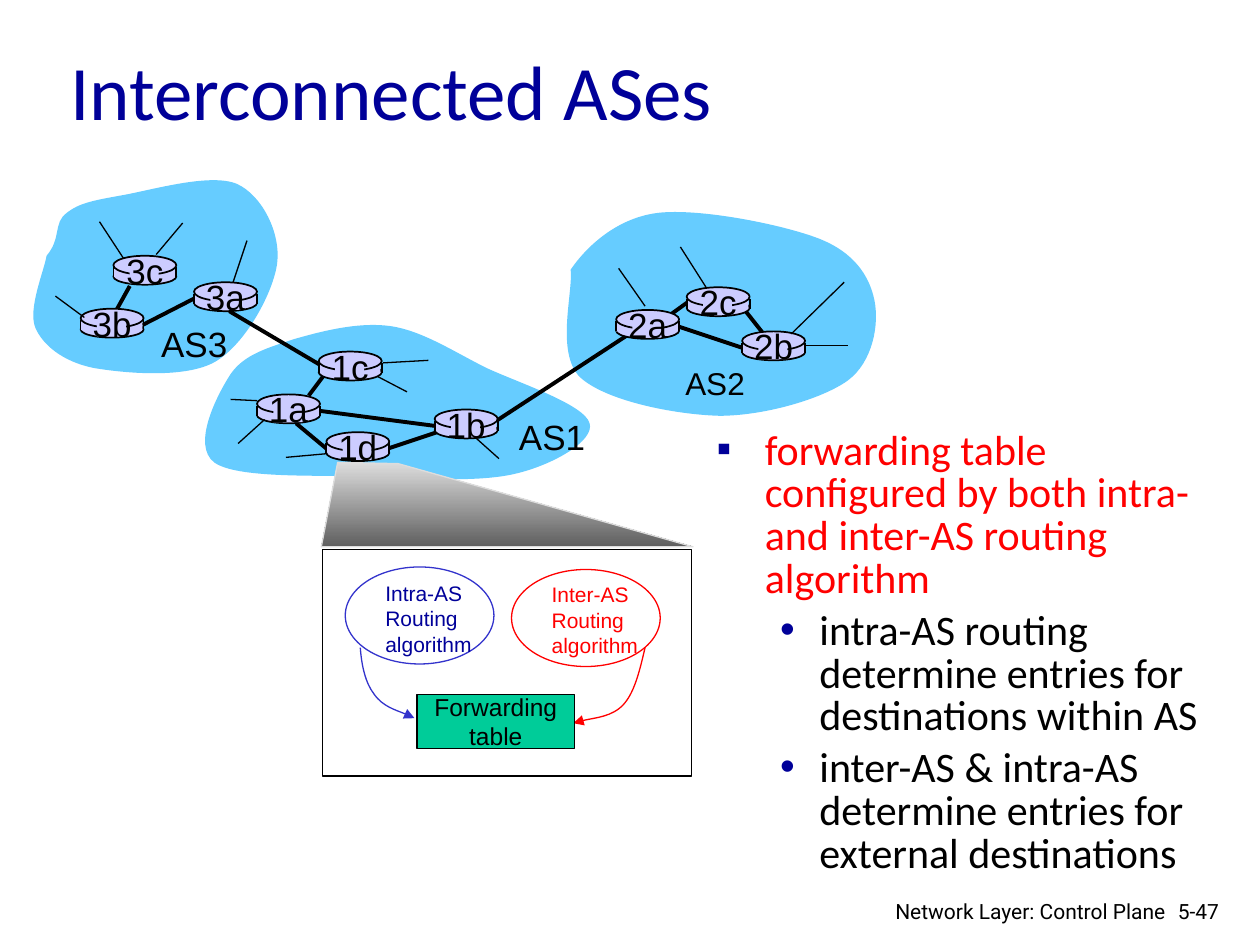
"""Build a slide on interconnected autonomous systems and the forwarding table."""
from lxml.etree import SubElement
from pptx import Presentation
from pptx.dml.color import RGBColor as RGB
from pptx.enum.shapes import MSO_CONNECTOR as LINK, MSO_SHAPE as KIND
from pptx.enum.text import MSO_ANCHOR as ANCHOR, PP_ALIGN as ALIGN
from pptx.oxml.ns import qn
from pptx.util import Cm, Pt

INCH = 2.54
BLACK = RGB(0x00, 0x00, 0x00)
SKY = RGB(0x66, 0xCC, 0xFF)
LILAC = RGB(0xCC, 0xCC, 0xFF)
NAVY = RGB(0x00, 0x00, 0x99)
BLUE = RGB(0x33, 0x33, 0xCC)
RED = RGB(0xFF, 0x00, 0x00)
GREEN = RGB(0x00, 0xCC, 0x99)
PALE = RGB(0xDD, 0xDD, 0xDD)
GREY = RGB(0x5F, 0x5F, 0x5F)
OVAL, RECT = KIND.OVAL, KIND.RECTANGLE
LEFT, MID, RIGHT = ALIGN.LEFT, ALIGN.CENTER, ALIGN.RIGHT

deck = Presentation()
deck.slide_width, deck.slide_height = Cm(25.4), Cm(19.05)
slide = deck.slides.add_slide(deck.slide_layouts[6])
shapes = slide.shapes


def paint(shape, fill, edge, wide=0.75):
    shape.shadow.inherit = False
    if fill is None:
        shape.fill.background()
    else:
        shape.fill.solid()
        shape.fill.fore_color.rgb = fill
    if edge is None:
        shape.line.fill.background()
    else:
        shape.line.color.rgb = edge
        shape.line.width = Pt(wide)
    return shape


def rule(ends, wide):
    line = shapes.add_connector(LINK.STRAIGHT, *[Cm(INCH * v) for v in ends])
    line.line.color.rgb = BLACK
    line.line.width = Pt(wide)
    SubElement(line._element.spPr, qn("a:effectLst"))
    return line


curves = [
    (SKY, None, [(4.53, 2.14), (4.66, 1.95), (4.9, 1.73), (5.22, 1.69),
                 (5.55, 1.65), (6.2, 1.78), (6.49, 1.89), (6.78, 2), (6.9, 2.19), (6.94, 2.38),
                 (6.98, 2.57), (6.93, 2.87), (6.73, 3.02), (6.52, 3.17), (6.06, 3.3), (5.71, 3.3),
                 (5.35, 3.29), (4.8, 3.18), (4.6, 2.99), (4.41, 2.79), (4.55, 2.32), (4.53, 2.14)]),
    (SKY, None, [(0.37, 2.03), (0.49, 1.89), (0.42, 1.77), (0.53, 1.69),
                 (0.63, 1.61), (0.75, 1.59), (0.97, 1.55), (1.2, 1.51), (1.67, 1.37), (1.88, 1.46),
                 (2.08, 1.55), (2.23, 1.85), (2.2, 2.09), (2.17, 2.32), (1.95, 2.73), (1.71, 2.87),
                 (1.47, 3.01), (0.97, 2.96), (0.74, 2.92), (0.5, 2.87), (0.34, 2.74), (0.28, 2.6),
                 (0.22, 2.45), (0.35, 2.15), (0.37, 2.03)]),
    (SKY, None, [(1.83, 2.97), (1.94, 2.81), (2.13, 2.76), (2.34, 2.69),
                 (2.55, 2.63), (2.85, 2.55), (3.11, 2.59), (3.36, 2.63), (3.6, 2.79), (3.86, 2.92),
                 (4.12, 3.04), (4.64, 3.21), (4.68, 3.36), (4.72, 3.5), (4.39, 3.69), (4.09, 3.76),
                 (3.8, 3.83), (3.31, 3.8), (2.91, 3.78), (2.52, 3.77), (1.88, 3.8), (1.7, 3.67),
                 (1.52, 3.53), (1.72, 3.14), (1.83, 2.97)]),
    (None, BLUE, [(2.86, 5.14), (2.87, 5.28), (2.9, 5.42), (2.97, 5.51),
                  (3.04, 5.61), (3.24, 5.67), (3.29, 5.7)]),
    (None, RED, [(5.12, 5.14), (5.08, 5.31), (5.04, 5.49), (4.95, 5.59),
                 (4.86, 5.69), (4.62, 5.71), (4.55, 5.74)]),
]
for fill, edge, knots in curves:
    dots = [[Cm(INCH * v) for v in knot] for knot in knots]
    pen = shapes.build_freeform(*dots[0], scale=1.0)
    pen.add_line_segments(dots[1:], close=edge is None)
    curve = paint(pen.convert_to_shape(), fill, edge)
    legs = list(curve._element.iter(qn("a:lnTo")))
    for i in range(0, len(legs), 3):
        legs[i].tag = qn("a:cubicBezTo")
        for leg in legs[i + 1:i + 3]:
            legs[i].append(leg[0])
            leg.getparent().remove(leg)
    if edge is not None:
        SubElement(curve._element.spPr.find(qn("a:ln")), qn("a:tailEnd"), type="triangle")

bonds = [(rule(ends, 2.25), head, tail) for ends, head, tail in [
    ((5.39, 2.59, 5.89, 2.75), "2a", "2b"),
    ((5.91, 2.46, 6.06, 2.65), None, None),
    ((5.29, 2.52, 5.47, 2.39), None, None),
    ((3.08, 3.55, 3.5, 3.42), "1d", None),
    ((2.35, 3.36, 2.59, 3.55), None, "1d"),
    ((2.55, 3.25, 3.45, 3.38), "1a", "1b"),
    ((2.45, 3.14, 2.57, 2.98), None, None),
    ((1.13, 2.56, 1.53, 2.38), "3b", "3a"),
    ((1.82, 2.47, 2.53, 2.89), None, None),
    ((3.94, 3.34, 4.98, 2.66), None, None),
    ((1.03, 2.27, 0.93, 2.45), None, None)]]

hubs = {"3b": (0.64, 2.54), "1d": (2.59, 3.52), "3a": (1.54, 2.33), "1c": (2.53, 2.88),
        "2a": (4.89, 2.55), "1a": (2.04, 3.22), "2c": (5.45, 2.37), "2b": (5.89, 2.72),
        "1b": (3.45, 3.34), "3c": (0.9, 2.12)}
parts = [(OVAL, 0, 0.01, 0.5, 0.13, BLACK), (RECT, 0, 0, 0.49, 0.08, None),
         (OVAL, 0, -0.09, 0.5, 0.15, BLACK), (RECT, 0.13, -0.07, 0.23, 0.2, None)]
discs, notes = {}, []
for name, (x, y) in hubs.items():
    made = []
    for kind, dx, dy, w, h, edge in parts:
        box = [Cm(INCH * v) for v in (x + dx, y + dy, w, h)]
        made.append(paint(shapes.add_shape(kind, *box), LILAC, edge, 1))
    discs[name] = made[1]
    for side in (x, x + 0.5):
        rule((side, y, side, y + 0.08), 1)
    notes.append((name, (x - 0.03, y - 0.19, 0.56, 0.43), 20, BLACK, "Arial", MID, False))

for link, head, tail in bonds:
    if head:
        link.begin_connect(discs[head], 3)
    if tail:
        link.end_connect(discs[tail], 1)

for ends in [
        (0.44, 2.35, 0.67, 2.52), (1.45, 1.77, 1.24, 2.02), (0.79, 1.76, 0.98, 2.05),
        (1.96, 1.91, 1.85, 2.24), (6.38, 2.74, 6.73, 2.74), (6.28, 2.65, 6.7, 2.24),
        (5.61, 2.29, 5.4, 1.96), (5.12, 2.43, 4.91, 2.13), (2.1, 3.33, 1.89, 3.52),
        (2.04, 3.18, 1.83, 3.17), (2.6, 3.6, 2.27, 3.63), (3.04, 2.88, 3.4, 2.86),
        (3.77, 3.47, 3.96, 3.64), (3, 2.99, 3.23, 3.11)]:
    rule(ends, 0.75)

beam = [[Cm(INCH * v) for v in dot]
        for dot in [(2.55, 4.34), (2.68, 3.67), (3.16, 3.68), (5.5, 4.34)]]
pen = shapes.build_freeform(*beam[0], scale=1.0)
pen.add_line_segments(beam[1:], close=True)
zoom = paint(pen.convert_to_shape(), None, PALE)
zoom.fill.gradient()
zoom.fill.gradient_angle = 270
for stop, spot, color in zip(zoom.fill.gradient_stops, (0, 1), (PALE, GREY)):
    stop.position = spot
    stop.color.rgb = color

for kind, box, fill, edge in [
        (RECT, (2.56, 4.36, 2.93, 1.8), None, BLACK),
        (OVAL, (2.74, 4.5, 1.18, 0.77), None, BLUE),
        (OVAL, (4.06, 4.52, 1.18, 0.77), None, RED),
        (RECT, (3.31, 5.51, 1.25, 0.43), GREEN, BLACK)]:
    table = paint(shapes.add_shape(kind, *[Cm(INCH * v) for v in box]), fill, edge)

points = ["forwarding table configured by both intra- and inter-AS routing algorithm",
          "intra-AS routing determine entries for destinations within AS",
          "inter-AS & intra-AS determine entries for external destinations"]
notes += [
    ("AS3", (1.18, 2.51, 0.78, 0.43), 20, BLACK, "Arial", LEFT, False),
    ("AS1", (4.02, 3.25, 0.78, 0.43), 20, BLACK, "Arial", LEFT, False),
    ("AS2", (5.34, 2.84, 0.72, 0.4), 18, BLACK, "Arial", LEFT, False),
    ("Intra-AS\nRouting\nalgorithm", (2.96, 4.56, 0.95, 0.7), 12, NAVY, "Arial", LEFT, False),
    ("Inter-AS\nRouting\nalgorithm", (4.28, 4.57, 0.95, 0.7), 12, RED, "Arial", LEFT, False),
    ("Forwarding\ntable", None, 14, BLACK, "Arial", MID, False),
    ("5-47", (9.25, 7.08, 0.6, 0.3), 12, BLACK, "Roboto", LEFT, True),
    ("Network Layer: Control Plane", (6.97, 7.08, 2.38, 0.26), 12, BLACK, "Roboto", RIGHT, True),
    ("Interconnected ASes", (0.46, 0.25, 8.5, 0.92), 44, NAVY, "Calibri", LEFT, True),
    ("\n".join(points), (5.59, 3.37, 4.17, 3.72), 24, BLACK, "Calibri", LEFT, True)]
for text, box, size, color, font, align, wrap in notes:
    area = shapes.add_textbox(*[Cm(INCH * v) for v in box]) if box else table
    frame = area.text_frame
    frame.text = text
    frame.word_wrap = wrap
    if size in (14, 44):
        frame.vertical_anchor = ANCHOR.MIDDLE
    for para in frame.paragraphs:
        para.alignment = align
        for run in para.runs:
            run.font.size = Pt(size)
            run.font.name = font
            run.font.color.rgb = color

for i, para in enumerate(frame.paragraphs):
    para.line_spacing = 0.85
    para.space_before = Pt(5 if i else 0)
    para.level = 1 if i else 0
    props = para._p.get_or_add_pPr()
    props.set("marL", str(Cm(2.07 if i else 0.97)))
    props.set("indent", str(Cm(-0.79 if i else -0.97)))
    SubElement(SubElement(props, qn("a:buClr")), qn("a:srgbClr"), val=str(NAVY))
    SubElement(props, qn("a:buFont"), typeface="Arial")
    SubElement(props, qn("a:buChar"), char="•" if i else "▪")
frame.paragraphs[0].runs[0].font.color.rgb = RED

deck.save("out.pptx")
